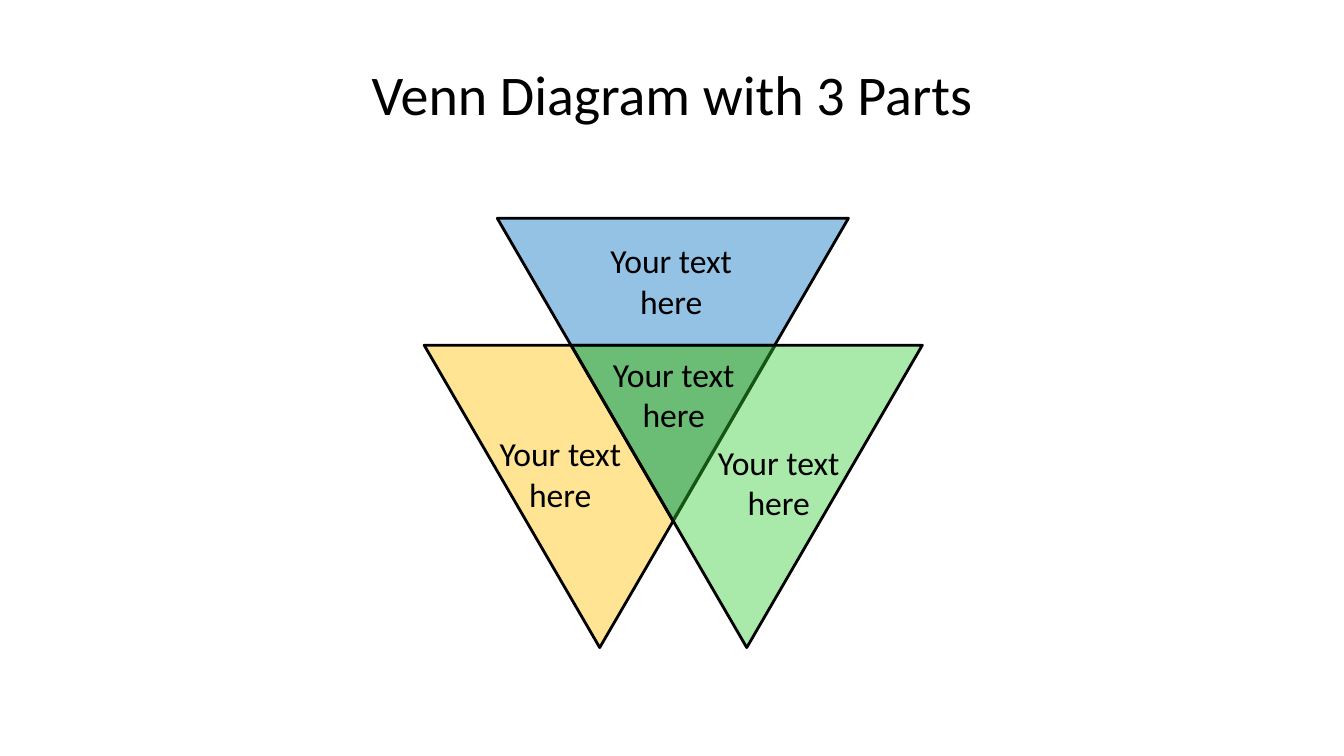
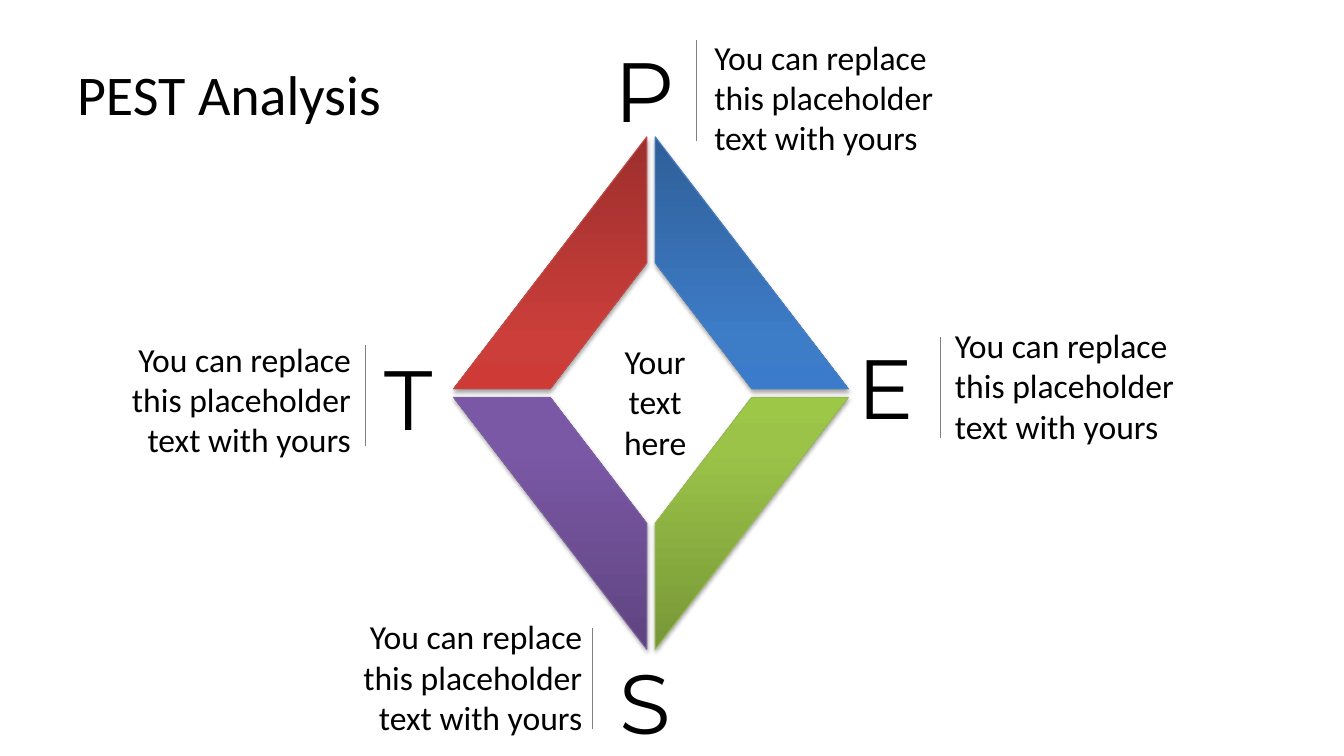
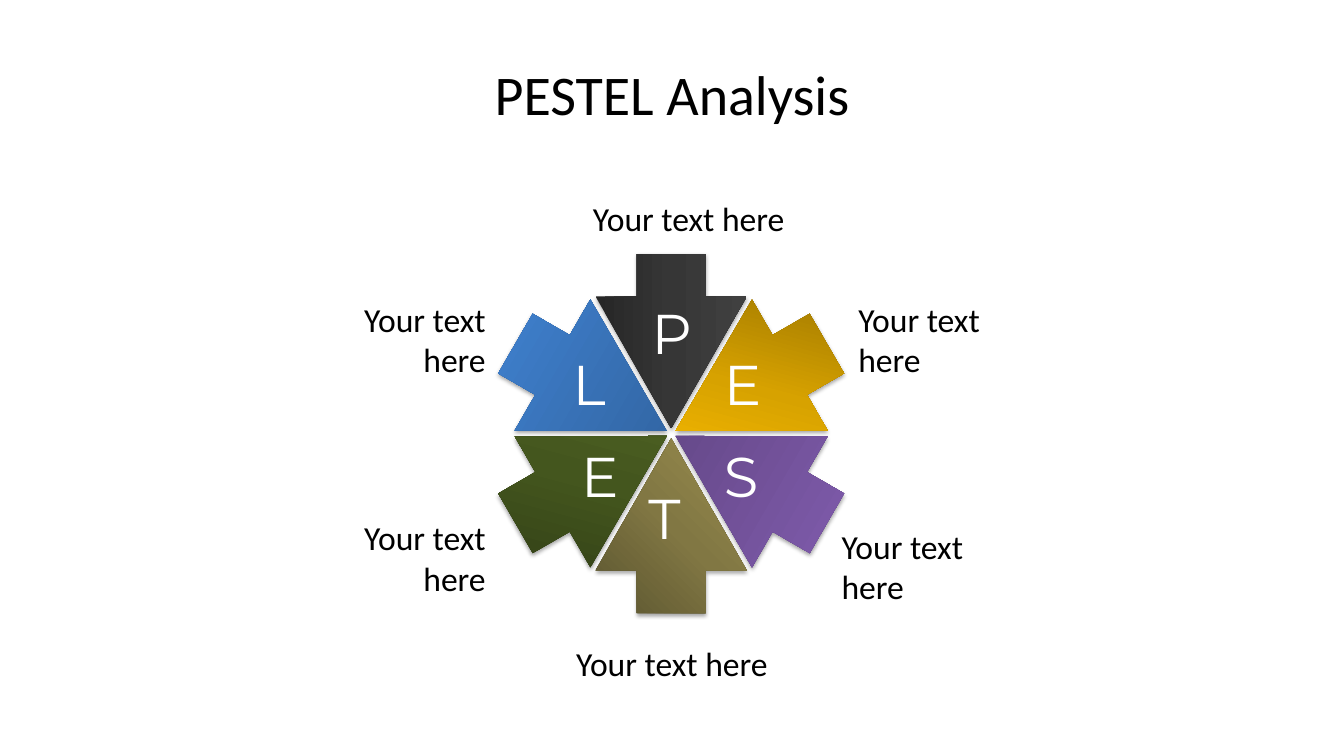
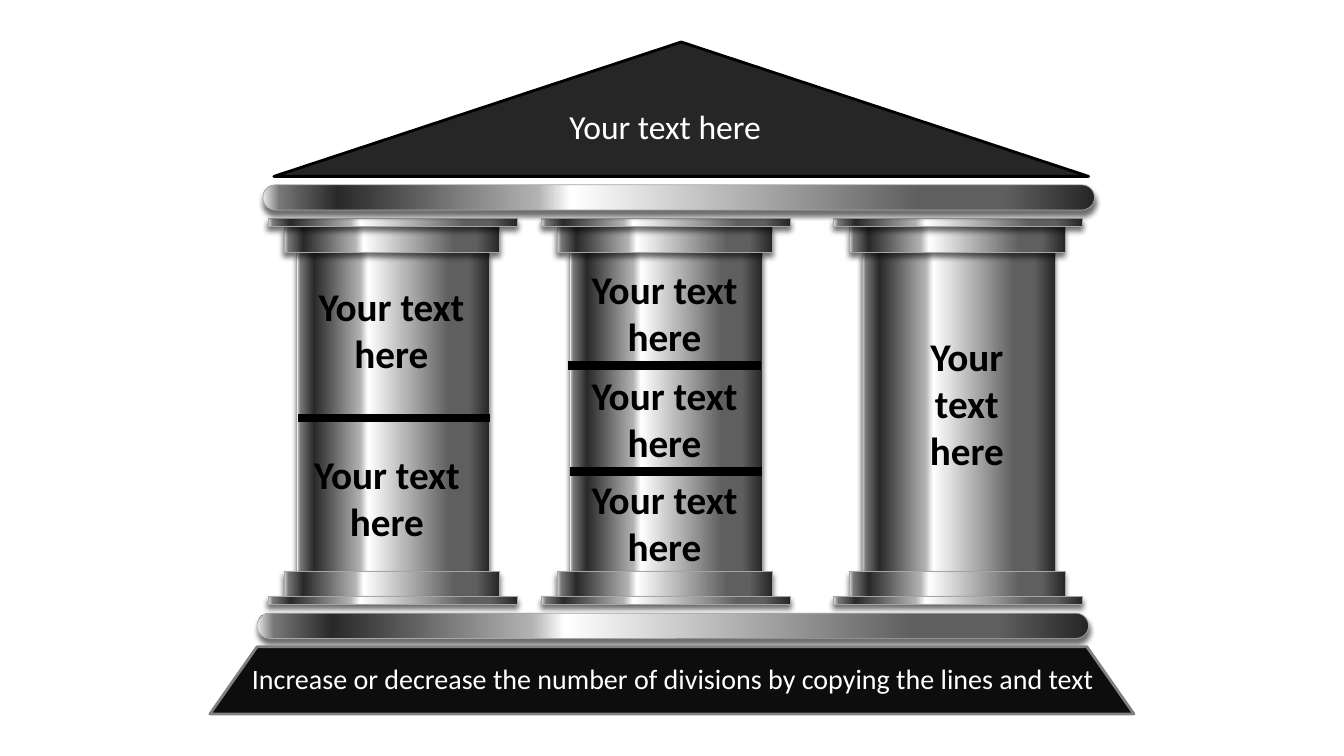
"""Builds four editable diagram slides on a grid of 160 columns by 90 rows."""
from math import cos, radians, sin

from lxml.etree import SubElement
from pptx import Presentation
from pptx.dml.color import RGBColor
from pptx.enum.shapes import MSO_CONNECTOR as Connector, MSO_SHAPE as Shape
from pptx.enum.text import MSO_ANCHOR as Anchor, PP_ALIGN as Align
from pptx.oxml.ns import qn
from pptx.util import Inches, Pt

BLACK, WHITE, GREY = "000000", "FFFFFF", "808080"
YOUR_TEXT = "Your text here"
REPLACE_TEXT = "You can replace this placeholder text with yours"

BLUE = [(0, "2F5F99"), (80, "3D7CC7"), (100, "3A7CCB")]
GREEN = [(0, "779737"), (80, "9BC348"), (100, "9DC746")]
RED = [(0, "9C2F2D"), (80, "CB3E3A"), (100, "CE3B37")]
PURPLE = [(0, "5F4480"), (80, "7B58A6"), (100, "7C57A8")]
CHARCOAL = [(0, "262626"), (50, "363636"), (100, "404040")]
GOLD = [(0, "977200"), (50, "D7A200"), (100, "FFC000")]
OLIVE = [(0, "5A542F"), (50, "817743"), (100, "998D4F")]
FOREST = [(0, "303D15"), (50, "44561E"), (100, "516624")]
STEEL = [(0, "262626"), (11, "5F5F5F"), (21, "5F5F5F"), (63, "FFFFFF"),
         (67, "B2B2B2"), (91, "292929"), (98, "777777"), (100, "EAEAEA")]
SOFT_SHADOW = (35, 3.1, 1.8)
DEEP_SHADOW = (56, 4, 3)


def colour(value):
    return RGBColor.from_string(value)


class Deck:
    columns, rows = 160, 90
    body_font, letter_font = "Calibri", "Montserrat"

    def __init__(self):
        self.presentation = Presentation()
        self.presentation.slide_width = Inches(13.33)
        self.presentation.slide_height = Inches(7.5)
        self.slide = None

    def add_slide(self):
        self.slide = self.presentation.slides.add_slide(self.presentation.slide_layouts[6])

    def x(self, columns):
        return round(self.presentation.slide_width * columns / self.columns)

    def y(self, rows):
        return round(self.presentation.slide_height * rows / self.rows)

    def box(self, left, top, width, height):
        return self.x(left), self.y(top), self.x(width), self.y(height)

    def text(self, text, *place, size=24, align=Align.CENTER, color=BLACK,
             font=body_font, bold=False, anchor=Anchor.TOP):
        frame = self.slide.shapes.add_textbox(*self.box(*place)).text_frame
        frame.word_wrap = True
        frame.vertical_anchor = anchor
        paragraph = frame.paragraphs[0]
        paragraph.alignment = align
        run = paragraph.add_run()
        run.text = text
        run.font.size = Pt(size)
        run.font.name = font
        run.font.bold = bold
        run.font.color.rgb = colour(color)

    def title(self, text, align=Align.CENTER):
        self.text(text, 8, 3.6, 144, 15, size=40, align=align, anchor=Anchor.MIDDLE)

    def letter(self, text, left, top, size, color=BLACK):
        self.text(text, left, top, 9.7, 13.3, size=size, color=color,
                  align=Align.LEFT, font=self.letter_font)

    def line(self, left, top, width=0, height=0, color=BLACK, weight=0.75):
        start_x, start_y = self.x(left), self.y(top)
        connector = self.slide.shapes.add_connector(
            Connector.STRAIGHT, start_x, start_y,
            start_x + self.x(width), start_y + self.y(height))
        connector.line.color.rgb = colour(color)
        connector.line.width = Pt(weight)
        SubElement(connector._element.spPr, qn("a:effectLst"))

    def shape(self, kind, *place, flip="", adjust=None, **style):
        shape = self.slide.shapes.add_shape(kind, *self.box(*place))
        if adjust is not None:
            shape.adjustments[0] = adjust
        for axis in flip:
            shape._element.spPr.get_or_add_xfrm().set(f"flip{axis}", "1")
        self.paint(shape, **style)

    def polygon(self, points, rotation=0, **style):
        corners = [(self.x(column), self.y(row)) for column, row in points]
        builder = self.slide.shapes.build_freeform(*corners[0], scale=1.0)
        builder.add_line_segments(corners[1:], close=True)
        shape = builder.convert_to_shape()
        shape.rotation = rotation
        self.paint(shape, **style)

    def paint(self, shape, fill, angle=0, alpha=None, line=None, weight=0.75, shadow=None):
        properties = shape._element.spPr
        if isinstance(fill, list):
            shape.fill.gradient()
            shape.fill.gradient_angle = 360 - angle
            stops = next(properties.iter(qn("a:gsLst")))
            for stop in list(stops):
                stops.remove(stop)
            for position, value in fill:
                stop = SubElement(stops, qn("a:gs"), pos=str(position * 1000))
                SubElement(stop, qn("a:srgbClr"), val=value)
        else:
            shape.fill.solid()
            shape.fill.fore_color.rgb = colour(fill)
            if alpha is not None:
                solid = next(properties.iter(qn("a:srgbClr")))
                SubElement(solid, qn("a:alpha"), val=str(alpha * 1000))
        if line:
            shape.line.color.rgb = colour(line)
            shape.line.width = Pt(weight)
        else:
            shape.line.fill.background()
        shape.shadow.inherit = False
        if shadow:
            opacity, blur, distance = shadow
            effects = properties.find(qn("a:effectLst"))
            outer = SubElement(effects, qn("a:outerShdw"), blurRad=str(Pt(blur)),
                               dist=str(Pt(distance)), dir="5400000", rotWithShape="0")
            black = SubElement(outer, qn("a:srgbClr"), val=BLACK)
            SubElement(black, qn("a:alpha"), val=str(opacity * 1000))


def venn_slide(deck):
    deck.add_slide()
    deck.title("Venn Diagram with 3 Parts")
    for left, top, fill in [(50.5, 41.1, "FFC000"), (59.2, 26, "0070C0"), (68, 41.1, "33CC33")]:
        deck.shape(Shape.ISOSCELES_TRIANGLE, left, top, 41.8, 36, flip="V",
                   fill=fill, alpha=42, line=BLACK, weight=2)
    for left, top in [(57.2, 51), (70.4, 28), (83.2, 52), (70.7, 41.5)]:
        deck.text(YOUR_TEXT, left, top, 19, 11)


def pest_slide(deck):
    deck.add_slide()
    deck.title("PEST Analysis", align=Align.LEFT)
    for left, top, flip, fill, line in [
            (78, 16.3, "V", BLUE, "4B7EBC"), (78, 47.3, "", GREEN, "98B955"),
            (54, 16.3, "HV", RED, "BF4C48"), (54, 47.3, "H", PURPLE, "7D60A0")]:
        deck.shape(Shape.DIAGONAL_STRIPE, left, top, 23, 30, flip=flip, fill=fill,
                   angle=270, line=line, shadow=SOFT_SHADOW)
    for letter, left, top in [("P", 72, 4), ("E", 100.9, 39.3), ("S", 72.6, 76.9), ("T", 44.6, 40.7)]:
        deck.letter(letter, left, top, 60)
    deck.text(YOUR_TEXT, 70, 40, 16, 15.7)
    for left, top, rule_left, rule_top, align in [
            (9.95, 39.7, 43.5, 41.1, Align.RIGHT), (83.85, 3.78, 82.9, 4.8, Align.LEFT),
            (37.5, 72.75, 70.5, 74.8, Align.RIGHT), (112.5, 38.1, 112, 40.1, Align.LEFT)]:
        deck.text(REPLACE_TEXT, left, top, 33, 15.7, align=align)
        deck.line(rule_left, rule_top, height=12, color=GREY)


def pestel_slide(deck):
    deck.add_slide()
    deck.title("PESTEL Analysis")
    hub_x, hub_y = 79.9, 51.6
    tip, edge, tab = -0.6, -16.3, -21.4
    wedge = [(0, tip), (-9, edge), (-4.1, edge), (-4.1, tab), (4.1, tab), (4.1, edge), (9, edge)]
    middle = (tip + tab) / 2
    sectors = [
        ("P", 76.4, 35, CHARCOAL, 0, (69, 23, 26, 6), Align.CENTER),
        ("E", 85, 41, GOLD, 45, (101, 35, 19, 11), Align.LEFT),
        ("S", 85, 52, PURPLE, 270, (99, 62, 19, 11), Align.LEFT),
        ("T", 76, 57, OLIVE, 135, (67, 76, 26, 6), Align.CENTER),
        ("E", 68, 52, FOREST, 45, (40, 61, 19, 11), Align.RIGHT),
        ("L", 67, 41, BLUE, 270, (40, 35, 19, 11), Align.RIGHT)]
    for index, (letter, left, top, fill, angle, label, align) in enumerate(sectors):
        turn = 60 * index
        center_x = hub_x - middle * sin(radians(turn))
        center_y = hub_y + middle * cos(radians(turn))
        points = [(center_x + x, center_y + y - middle) for x, y in wedge]
        deck.polygon(points, rotation=turn, fill=fill, angle=angle, shadow=SOFT_SHADOW)
        deck.text(YOUR_TEXT, *label, align=align)
        deck.letter(letter, left, top, 40, WHITE)


def temple_slide(deck):
    deck.add_slide()
    steel = dict(fill=STEEL, angle=180, line="A6A6A6", weight=0.5, shadow=DEEP_SHADOW)
    pillar = [(3.4, 30, 23, 38), (1.9, 68, 25.7, 3), (0, 71, 29.7, 1),
              (1.9, 27, 25.7, 3), (0, 26, 29.7, 1)]
    for pillar_left in (31.9, 64.4, 99.2):
        for inset, top, width, height in pillar:
            deck.shape(Shape.RECTANGLE, pillar_left + inset, top, width, height, **steel)
    for left, top in [(31.3, 22), (30.6, 73)]:
        deck.shape(Shape.ROUNDED_RECTANGLE, left, top, 99, 3, adjust=0.5, **steel)
    deck.shape(Shape.ISOSCELES_TRIANGLE, 32.6, 5, 97, 16, fill="262626", line=BLACK, weight=2)
    deck.shape(Shape.TRAPEZOID, 25, 77, 110, 8, adjust=0.7, fill="0D0D0D", line=GREY, weight=2)
    deck.text(YOUR_TEXT, 66.2, 12, 26, 6, color=WHITE)
    for left, top in [(35.45, 49.75), (67.65, 43.5), (67.85, 56.15)]:
        deck.line(left, top, width=22.9, weight=6)
    for left, top, width in [(36.1, 33, 21), (35.55, 53, 21), (67.6, 31, 23),
                             (67.6, 43.6, 23), (67.6, 56, 23), (108.6, 39, 13)]:
        deck.text(YOUR_TEXT, left, top, width, 12.5, size=28, bold=True)
    deck.text("Increase or decrease the number of divisions by copying the lines and text",
              27.1, 78.15, 106, 5.3, size=20, color=WHITE)


def main():
    deck = Deck()
    for build in (venn_slide, pest_slide, pestel_slide, temple_slide):
        build(deck)
    deck.presentation.save("out.pptx")


if __name__ == "__main__":
    main()
